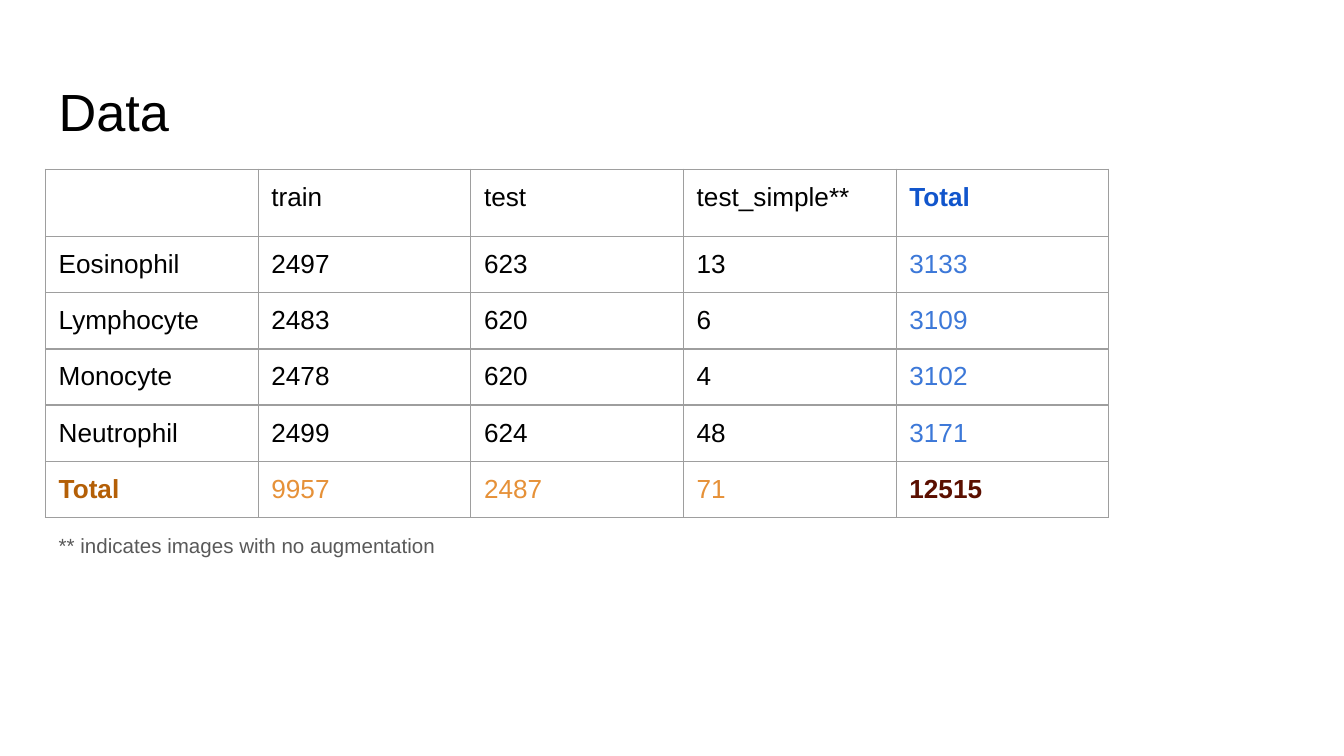
"""Build a slide with a table of image counts per cell type and data split."""
from dataclasses import dataclass

from lxml.etree import SubElement as Sub
from pptx import Presentation
from pptx.dml.color import RGBColor as Rgb
from pptx.enum.text import MSO_ANCHOR as Anchor, MSO_AUTO_SIZE as Auto, PP_ALIGN as Align
from pptx.oxml.ns import qn
from pptx.util import Cm, Pt

LEFT, WIDTH, INSET = Cm(0.86), Cm(23.67), Cm(0.25)
COL, ROW = Cm(4.02), Cm(1.06)
BLACK, GRID = "000000", "9E9E9E"
SPLITS = ["train", "test", "test_simple**"]
COUNTS = {
    "Eosinophil": [2497, 623, 13],
    "Lymphocyte": [2483, 620, 6],
    "Monocyte": [2478, 620, 4],
    "Neutrophil": [2499, 624, 48],
}


@dataclass
class Entry:
    """Text of one table cell and its look."""
    text: str
    tint: str = BLACK
    bold: bool = False


def color(tint: str) -> Rgb:
    """Turn a hex string into a colour."""
    return Rgb.from_string(tint)


def style(para, size: float, tint: str, bold: bool = False) -> None:
    """Format every run of a paragraph."""
    para.alignment = Align.LEFT
    for run in para.runs:
        font = run.font
        font.name, font.size, font.bold = "Arial", Pt(size), bold
        font.color.rgb = color(tint)


def pad(item) -> None:
    """Set equal insets and top anchoring on a cell or text frame."""
    item.margin_left = item.margin_right = INSET
    item.margin_top = item.margin_bottom = INSET
    item.vertical_anchor = Anchor.TOP


def write(shape, text: str, size: float, tint: str):
    """Fill a shape with one line of text and return its paragraph."""
    frame = shape.text_frame
    frame.text = text
    frame.word_wrap, frame.auto_size = True, Auto.NONE
    pad(frame)
    para = frame.paragraphs[0]
    style(para, size, tint)
    return para


def border(cell) -> None:
    """Draw a thin line on all four sides of a cell."""
    props = cell._tc.get_or_add_tcPr()
    for side in ("a:lnL", "a:lnR", "a:lnT", "a:lnB"):
        line = Sub(props, qn(side), w=str(Pt(0.75)))
        Sub(Sub(line, qn("a:solidFill")), qn("a:srgbClr"), val=GRID)


def draw(cell, entry: Entry) -> None:
    """Draw one table cell."""
    pad(cell)
    border(cell)
    cell.fill.background()
    if entry.text:
        cell.text = entry.text
        style(cell.text_frame.paragraphs[0], 14, entry.tint, entry.bold)


def entries() -> list[list[Entry]]:
    """List the table entries with row and column totals."""
    grid = [[Entry(""), *map(Entry, SPLITS), Entry("Total", "1155CC", True)]]
    for name, nums in COUNTS.items():
        cells = [Entry(str(num)) for num in nums]
        grid.append([Entry(name), *cells, Entry(str(sum(nums)), "3C78D8")])
    sums = [sum(nums) for nums in zip(*COUNTS.values())]
    cells = [Entry(str(num), "E69138") for num in sums]
    grid.append([Entry("Total", "B45F06", True), *cells,
                 Entry(str(sum(sums)), "5B0F00", True)])
    return grid


def main() -> None:
    """Build and save the slide."""
    deck = Presentation()
    deck.slide_width, deck.slide_height = Cm(25.4), Cm(14.29)
    slide = deck.slides.add_slide(deck.slide_layouts[5])

    title = slide.shapes.title
    title.left, title.top, title.width, title.height = LEFT, Cm(1.24), WIDTH, Cm(1.6)
    write(title, "Data", 28, BLACK)

    note = slide.shapes.add_textbox(LEFT, Cm(9.75), WIDTH, Cm(2.95))
    para = write(note, "** indicates images with no augmentation", 11, "595959")
    para.line_spacing, para.space_after = 1.15, Pt(16)

    grid = entries()
    rows, cols = len(grid), len(grid[0])
    table = slide.shapes.add_table(rows, cols, LEFT, Cm(3.2), COL * cols, ROW * rows).table
    table.first_row = table.horz_banding = False
    for r, line in enumerate(grid):
        for c, entry in enumerate(line):
            draw(table.cell(r, c), entry)

    deck.save("out.pptx")


if __name__ == "__main__":
    main()
